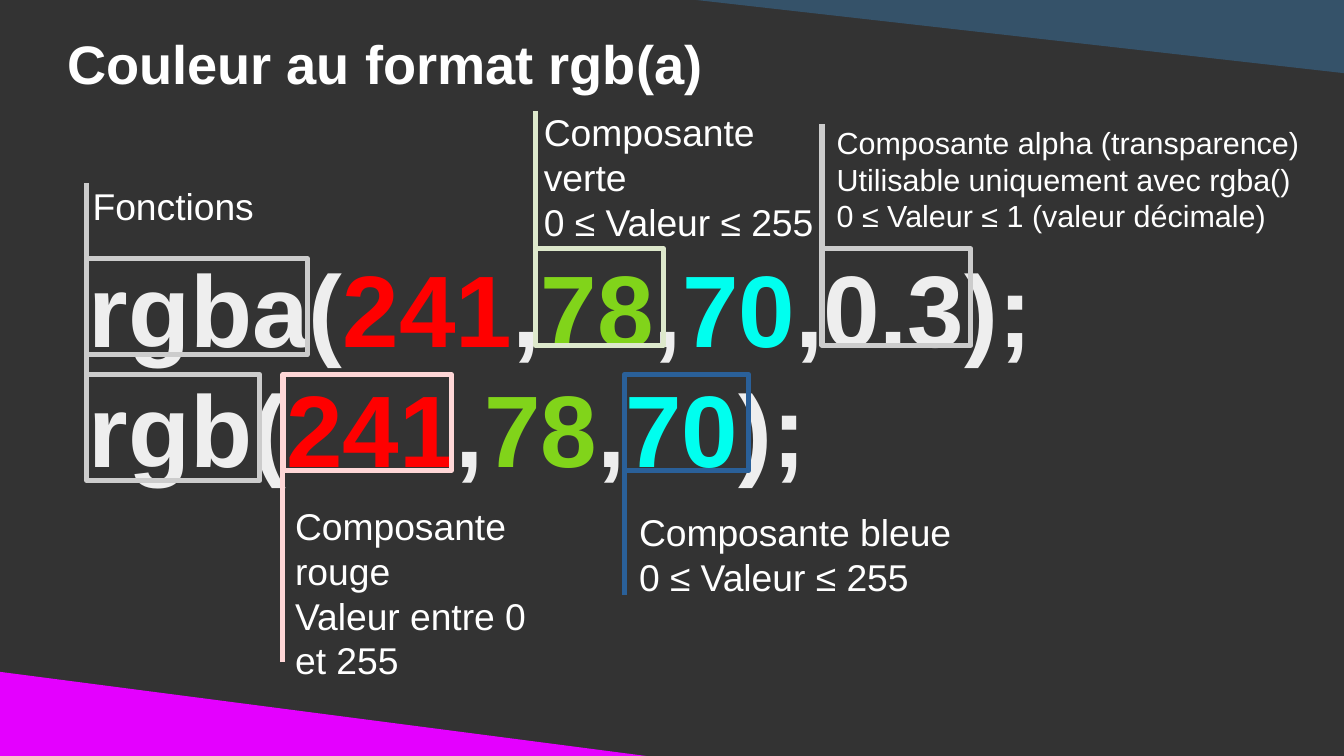
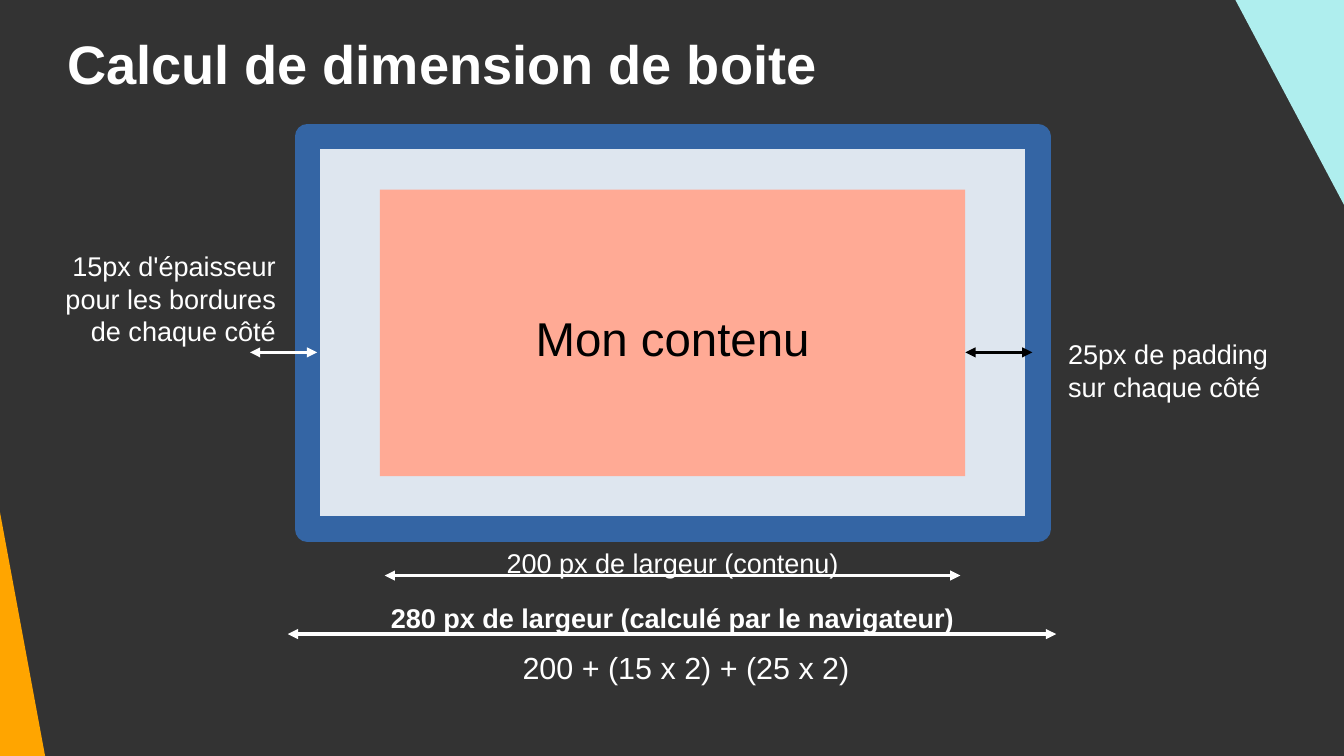
from dataclasses import dataclass

from lxml.etree import SubElement
from pptx import Presentation
from pptx.dml.color import RGBColor
from pptx.enum.shapes import MSO_CONNECTOR, MSO_SHAPE
from pptx.enum.text import MSO_ANCHOR, PP_ALIGN
from pptx.oxml.ns import qn
from pptx.util import Inches, Pt

FONT = "Arial"
BACKGROUND = RGBColor(0x33, 0x33, 0x33)
WHITE = RGBColor(0xFF, 0xFF, 0xFF)
BLACK = RGBColor(0x00, 0x00, 0x00)
MAGENTA = RGBColor(0xE4, 0x00, 0xFF)
SLATE = RGBColor(0x35, 0x52, 0x69)
ORANGE = RGBColor(0xFF, 0xA5, 0x00)
TURQUOISE = RGBColor(0xAF, 0xEE, 0xEE)
CODE_PALE = RGBColor(0xEE, 0xEE, 0xEE)
CODE_RED = RGBColor(0xFF, 0x00, 0x00)
CODE_GREEN = RGBColor(0x81, 0xD4, 0x1A)
CODE_CYAN = RGBColor(0x00, 0xFF, 0xEF)
FRAME_PINK = RGBColor(0xFF, 0xD7, 0xD7)
FRAME_GREEN = RGBColor(0xDD, 0xE8, 0xCB)
FRAME_BLUE = RGBColor(0x2A, 0x60, 0x99)
FRAME_GREY = RGBColor(0xCC, 0xCC, 0xCC)
BORDER_BLUE = RGBColor(0x34, 0x65, 0xA4)
PADDING_BLUE = RGBColor(0xDE, 0xE6, 0xEF)
CONTENT_SALMON = RGBColor(0xFF, 0xAA, 0x95)

# The slide is a grid of square cells, a tenth of an inch each.
CELL = Inches(0.1)
COLUMNS, ROWS = 110.2, 62
FRAME_WIDTH = 3


def cells(count):
    return round(count * CELL)


@dataclass
class Box:
    """A region of the slide, in grid cells."""
    left: float
    top: float
    width: float
    height: float

    def region(self, left, top, width, height):
        return Box(self.left + left, self.top + top, width, height)

    def inset(self, across, down):
        return self.region(across, down, self.width - 2 * across, self.height - 2 * down)

    @property
    def right(self):
        return self.left + self.width

    @property
    def bottom(self):
        return self.top + self.height

    def emu(self):
        return [cells(n) for n in (self.left, self.top, self.width, self.height)]


@dataclass
class Callout:
    """Frames around code, a stem up or down to tip, and a note; all relative to the code."""
    color: RGBColor
    frames: list
    tip: float
    note: tuple
    text: str
    size: int = 22


WHOLE = Box(0, 0, COLUMNS, ROWS)
CALLOUTS = [
    Callout(FRAME_PINK, [(16.9, 11, 13.8, 7.9)], 34.6, (17.9, 21.6, 19.1, 13.7),
            "Composante\vrouge\vValeur entre 0 et 255"),
    Callout(FRAME_GREEN, [(37.6, 0.7, 10.5, 7.9)], -10.6, (38.3, -10.7, 22.3, 13.7),
            "Composante\vverte\v0 ≤ Valeur ≤ 255"),
    Callout(FRAME_BLUE, [(44.9, 11, 10.2, 7.9)], 29.1, (46.1, 22.1, 30.3, 7),
            "Composante bleue\v0 ≤ Valeur ≤ 255"),
    Callout(FRAME_GREY, [(61.1, 0.7, 12.2, 7.9)], -9.5, (62.3, -9.5, 40.8, 9.4),
            "Composante alpha (transparence)\vUtilisable uniquement avec rgba()\v"
            "0 ≤ Valeur ≤ 1 (valeur décimale)", 18),
    Callout(FRAME_GREY, [(0.8, 1.5, 18.1, 7.9), (0.8, 11, 14.2, 8.7)], -4.7,
            (1.3, -4.7, 20.7, 3.4), "Fonctions"),
]
RGB_VALUES = [("241", CODE_RED), ("78", CODE_GREEN), ("70", CODE_CYAN)]


def write(frame, runs, size, bold=False, align=PP_ALIGN.LEFT):
    """Fill a text frame's first paragraph with (text, colour) runs; \\v breaks a line."""
    frame.word_wrap = True
    paragraph = frame.paragraphs[0]
    paragraph.alignment = align
    for text, color in runs:
        for index, line in enumerate(text.split("\v")):
            if index:
                paragraph.add_line_break()
            run = paragraph.add_run()
            run.text = line
            run.font.name = FONT
            run.font.size = Pt(size)
            run.font.bold = bold
            run.font.color.rgb = color


def add_text(slide, box, runs, size, bold=False, align=PP_ALIGN.LEFT, padded=True):
    frame = slide.shapes.add_textbox(*box.emu()).text_frame
    if not padded:
        frame.margin_left = frame.margin_top = frame.margin_right = frame.margin_bottom = 0
    write(frame, runs, size, bold, align)


def add_block(slide, box, fill=None, line=None, line_width=0, kind=MSO_SHAPE.RECTANGLE):
    block = slide.shapes.add_shape(kind, *box.emu())
    block.shadow.inherit = False
    if fill is None:
        block.fill.background()
    else:
        block.fill.solid()
        block.fill.fore_color.rgb = fill
    if line is None:
        block.line.fill.background()
    else:
        block.line.color.rgb = line
        block.line.width = Pt(line_width)
        SubElement(block._element.spPr.get_or_add_ln(), qn("a:round"))
    return block


def add_line(slide, start, end, color, width):
    line = slide.shapes.add_connector(
        MSO_CONNECTOR.STRAIGHT, *(cells(n) for n in (*start, *end)))
    line.line.color.rgb = color
    line.line.width = Pt(width)
    SubElement(line._element.spPr, qn("a:effectLst"))
    return line


def add_measure(slide, left, right, row, color=WHITE):
    """A horizontal hairline with an arrowhead at both ends."""
    measure = add_line(slide, (left, row), (right, row), color, 0)
    for end in ("a:headEnd", "a:tailEnd"):
        SubElement(measure._element.spPr.get_or_add_ln(), qn(end), type="triangle")


def add_corner_wedges(slide, bottom_left, top_right):
    """Each wedge is (colour, width, height)."""
    color, width, height = bottom_left
    add_block(slide, Box(0, ROWS - height, width, height), color,
              kind=MSO_SHAPE.RIGHT_TRIANGLE)
    color, width, height = top_right
    wedge = add_block(slide, Box(COLUMNS - width, 0, width, height), color,
                      kind=MSO_SHAPE.RIGHT_TRIANGLE)
    wedge.rotation = 180


def start_slide(deck, title, bottom_left, top_right):
    slide = deck.slides.add_slide(deck.slide_layouts[6])
    slide.background.fill.solid()
    slide.background.fill.fore_color.rgb = BACKGROUND
    add_corner_wedges(slide, bottom_left, top_right)
    add_text(slide, WHOLE.region(5.5, 2.5, 99.2, 5.6), [(title, WHITE)], 32,
             bold=True, padded=False)
    return slide


def add_code_line(slide, box, function, ending):
    runs = [(function + "(", CODE_PALE)]
    for index, value in enumerate(RGB_VALUES):
        if index:
            runs.append((",", CODE_PALE))
        runs.append(value)
    add_text(slide, box, runs + [(ending, CODE_PALE)], 60, bold=True)


def add_callout(slide, code, callout):
    frames = [code.region(*frame) for frame in callout.frames]
    blocks = [add_block(slide, frame, line=callout.color, line_width=FRAME_WIDTH)
              for frame in frames]
    last = frames[-1]
    stem = add_line(slide, (last.left, code.top + callout.tip),
                    (last.left, last.top + last.height / 2), callout.color, FRAME_WIDTH)
    stem.end_connect(blocks[-1], 1)
    add_text(slide, code.region(*callout.note), [(callout.text, WHITE)], callout.size,
             padded=False)


def add_color_format(slide, code):
    add_code_line(slide, code.region(0, 0, code.width, 12.6), "rgba", ",0.3);")
    add_code_line(slide, code.region(0, 9.8, code.width, 12.6), "rgb", ");")
    for callout in CALLOUTS:
        add_callout(slide, code, callout)


def add_box_model(slide, border):
    """The nested boxes, with their measures beside and below them."""
    add_block(slide, border, PADDING_BLUE, BORDER_BLUE, 15)
    content = border.inset(5.95, 4.35)
    label = add_block(slide, content, CONTENT_SALMON).text_frame
    label.vertical_anchor = MSO_ANCHOR.MIDDLE
    label.margin_top, label.margin_bottom = Inches(0.08), 0
    write(label, [("Mon contenu", BLACK)], 28, align=PP_ALIGN.CENTER)

    side_row = border.top + 17.7
    add_measure(slide, border.left - 4.7, border.left + 0.8, side_row)
    add_measure(slide, content.right, content.right + 5.5, side_row, BLACK)
    add_text(slide, border.region(-22.1, 8.8, 20.5, 9.1),
             [("15px d'épaisseur pour les bordures de chaque côté", WHITE)], 16,
             align=PP_ALIGN.RIGHT)
    add_text(slide, border.region(border.width + 1.5, 16, 20.5, 7),
             [("25px de padding sur chaque côté", WHITE)], 16)

    below = border.bottom
    add_measure(slide, content.left + 0.4, content.right - 0.4, below + 3.8)
    add_measure(slide, border.left - 1.6, border.right + 1.5, below + 8.6)
    captions = [
        (0, 0.9, "200 px de largeur (contenu)", 16, False),
        (0, 5.4, "280 px de largeur (calculé par le navigateur)", 16, True),
        (1.1, 9.3, "200 + (15 x 2) + (25 x 2)", 18, False),
    ]
    for shift, drop, text, size, bold in captions:
        add_text(slide, Box(border.left + shift, below + drop, border.width, 3.5),
                 [(text, WHITE)], size, bold, PP_ALIGN.CENTER)


def main():
    deck = Presentation()
    deck.slide_width, deck.slide_height = cells(COLUMNS), cells(ROWS)

    color_format = start_slide(deck, "Couleur au format rgb(a)",
                               (MAGENTA, 53, 6.9), (SLATE, 53.1, 6))
    add_color_format(color_format, WHOLE.region(6.3, 19.7, 81.1, 22.4))

    box_size = start_slide(deck, "Calcul de dimension de boite",
                           (ORANGE, 3.7, 20), (TURQUOISE, 8.9, 16.8))
    add_box_model(box_size, WHOLE.region(25.2, 11.2, 59.9, 32.2))
    deck.save("out.pptx")


if __name__ == "__main__":
    main()
